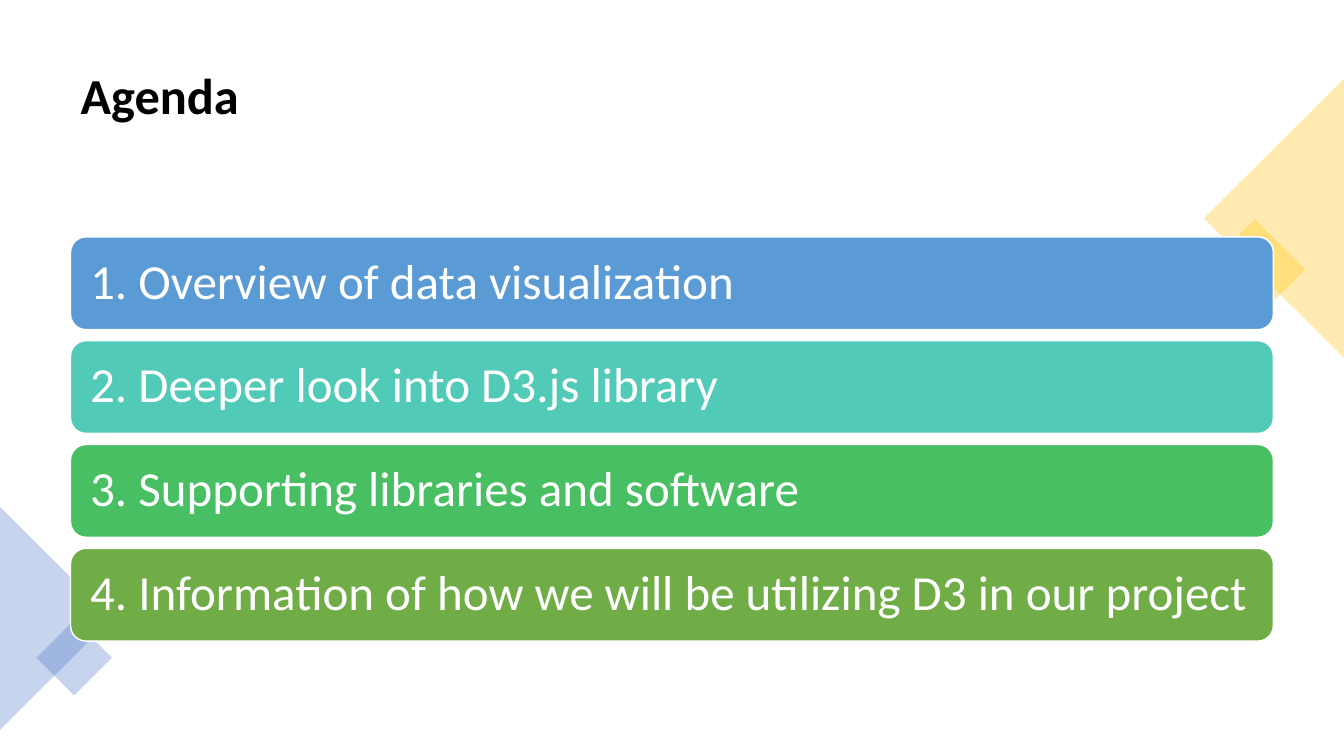
"""Builds the agenda slide with four coloured topic bars and corner accents."""
from lxml.etree import SubElement
from pptx import Presentation
from pptx.dml.color import RGBColor
from pptx.enum.shapes import MSO_SHAPE as Shape
from pptx.enum.text import MSO_ANCHOR as Anchor, PP_ALIGN as Align
from pptx.oxml.ns import qn
from pptx.util import Inches, Pt

COLORS = {
    "black": "000000", "white": "FFFFFF", "gold": "FFC000", "navy": "4472C4",
    "blue": "5B9BD5", "teal": "52CAB8", "green": "49BF64", "olive": "70AD47",
}
FONT = "Calibri"
HEADING = "Agenda"
TOPICS = [
    ("1. Overview of data visualization", "blue"),
    ("2. Deeper look into D3.js library", "teal"),
    ("3. Supporting libraries and software", "green"),
    ("4. Information of how we will be utilizing D3 in our project", "olive"),
]
ACCENTS = [
    (Shape.RECTANGLE, (12.09, 2.32, 0.71, 0.71), 45, "gold"),
    (Shape.ISOSCELES_TRIANGLE, (11.25, 1.47, 2.77, 1.39), 270, "gold"),
    (Shape.ISOSCELES_TRIANGLE, (-0.55, 5.58, 2.21, 1.11), 90, "navy"),
    (Shape.RECTANGLE, (0.47, 6.26, 0.53, 0.53), 45, "navy"),
]
ACCENT_OPACITY = 30
LEFT, WIDTH = 0.7, 11.93
BAR_TOP, BAR_HEIGHT, BAR_PITCH = 2.35, 0.92, 1.03
BAR_INSET = 0.15


def rgb(name):
    return RGBColor.from_string(COLORS[name])


def add_filled(slide, kind, box, color):
    shape = slide.shapes.add_shape(kind, *map(Inches, box))
    shape.shadow.inherit = False
    shape.fill.solid()
    shape.fill.fore_color.rgb = rgb(color)
    return shape


def write(frame, text, size, color, bold=False):
    frame.word_wrap = True
    frame.vertical_anchor = Anchor.MIDDLE
    paragraph = frame.paragraphs[0]
    paragraph.alignment = Align.LEFT
    paragraph.line_spacing = 0.9
    run = paragraph.add_run()
    run.text = text
    run.font.name = FONT
    run.font.size = Pt(size)
    run.font.bold = bold
    run.font.color.rgb = rgb(color)


def add_accent(slide, kind, box, rotation, color):
    accent = add_filled(slide, kind, box, color)
    accent.rotation = rotation
    accent.line.fill.background()
    tint = accent.fill._xPr.find(f".//{qn('a:srgbClr')}")
    SubElement(tint, qn("a:alpha"), val=str(ACCENT_OPACITY * 1000))


def add_topic(slide, row, text, color):
    box = (LEFT, BAR_TOP + row * BAR_PITCH, WIDTH, BAR_HEIGHT)
    bar = add_filled(slide, Shape.ROUNDED_RECTANGLE, box, color)
    bar.line.color.rgb = rgb("white")
    bar.line.width = Pt(1)
    frame = bar.text_frame
    frame.margin_left = frame.margin_right = Inches(BAR_INSET)
    frame.margin_top = frame.margin_bottom = Inches(BAR_INSET)
    write(frame, text, 35, "white")


def main():
    deck = Presentation()
    deck.slide_width, deck.slide_height = Inches(13.33), Inches(7.5)
    slide = deck.slides.add_slide(deck.slide_layouts[5])
    title = slide.shapes.title
    title.left, title.top = Inches(LEFT), Inches(0.35)
    title.width, title.height = Inches(WIDTH), Inches(1.24)
    write(title.text_frame, HEADING, 36, "black", bold=True)
    for accent in ACCENTS:
        add_accent(slide, *accent)
    for row, (text, color) in enumerate(TOPICS):
        add_topic(slide, row, text, color)
    deck.save("out.pptx")


if __name__ == "__main__":
    main()
